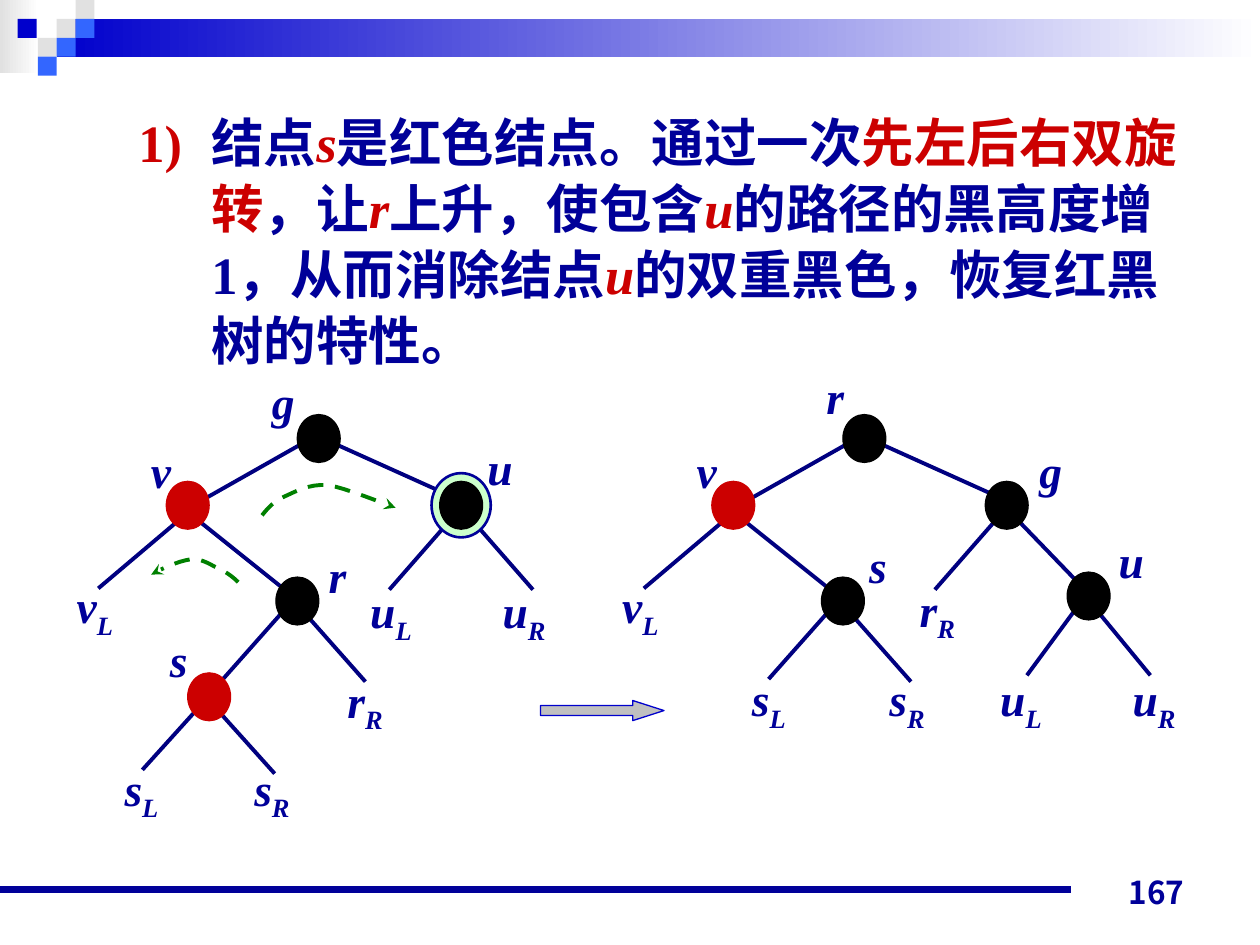
"""Build the slide on removing a double-black node with a left-right rotation."""
from lxml import etree
from pptx import Presentation
from pptx.dml.color import RGBColor
from pptx.enum.dml import MSO_LINE
from pptx.enum.shapes import MSO_CONNECTOR, MSO_SHAPE
from pptx.enum.text import MSO_ANCHOR, PP_ALIGN
from pptx.oxml.ns import qn
from pptx.util import Inches, Pt

RECTANGLE, OVAL, ARROW = MSO_SHAPE.RECTANGLE, MSO_SHAPE.OVAL, MSO_SHAPE.RIGHT_ARROW
STRAIGHT, DASH = MSO_CONNECTOR.STRAIGHT, MSO_LINE.DASH
BOTTOM, RIGHT = MSO_ANCHOR.BOTTOM, PP_ALIGN.RIGHT
NAVY, RED, BLACK, BLUE = "000099", "CC0000", "000000", "0000CC"
EDGE, GREEN, GREY, SKY = "000080", "008000", "E1E1E1", "3366FF"
SERIF, SANS = "Times New Roman", "Noto Sans CJK JP"

BANDS = [(0, 0, 0.31, 0.58, GREY), (0.45, 0.15, 9.55, 0.3, BLUE)]
TILE = 0.15
TILES = [(0.45, 0.15, GREY), (0.6, 0, GREY), (0.6, 0.15, SKY), (0.3, 0.3, GREY),
         (0.14, 0.15, BLUE), (0.45, 0.3, SKY), (0.3, 0.45, SKY)]

STATEMENT = [
    ("1)\t", RED, False), ("结点", NAVY, False), ("s", RED, True),
    ("是红色结点。通过一次", NAVY, False), ("先左后右双旋转", RED, False),
    ("，让", NAVY, False), ("r", RED, True), ("上升，使包含", NAVY, False),
    ("u", RED, True), ("的路径的黑高度增1，从而消除结点", NAVY, False),
    ("u", RED, True), ("的双重黑色，恢复红黑树的特性。", NAVY, False),
]

TREE_SHIFT = 4.33
SHARED_EDGES = [
    (2.63, 3.51, 3.54, 3.92), (3.58, 4.12, 3.09, 4.68), (2.44, 4.89, 2.9, 5.41),
    (1.56, 4.12, 2.26, 4.68), (2.47, 3.48, 1.64, 3.95), (1.43, 4.12, 0.78, 4.67),
    (2.24, 4.86, 1.77, 5.39),
]
SHARED_NODES = [(2.53, 3.48, BLACK), (1.49, 4.01, RED), (2.36, 4.77, BLACK), (3.66, 4.01, BLACK)]
BEFORE = {
    "shift": 0,
    "edges": [(3.74, 4.12, 4.23, 4.68), (1.74, 5.65, 2.18, 6.14), (1.6, 5.59, 1.13, 6.11)],
    "nodes": [(1.66, 5.53, RED)],
    "labels": [("g", "", 2.06, 2.92), ("v", "", 1.1, 3.47), ("u", "", 3.77, 3.44),
               ("r", "", 2.51, 4.3), ("s", "", 1.25, 4.97), ("v", "L", 0.51, 4.54),
               ("u", "L", 2.84, 4.58), ("u", "R", 3.89, 4.58), ("r", "R", 2.66, 5.29),
               ("s", "L", 0.89, 5.99), ("s", "R", 1.92, 5.99)],
}
AFTER = {
    "shift": TREE_SHIFT,
    "edges": [(8.07, 4.12, 8.62, 4.69), (8.71, 4.85, 9.13, 5.36), (8.57, 4.79, 8.15, 5.36)],
    "nodes": [(8.64, 4.73, BLACK)],
    "labels": [("r", "", 6.46, 2.88), ("v", "", 5.43, 3.47), ("g", "", 8.15, 3.47),
               ("s", "", 6.8, 4.22), ("u", "", 8.78, 4.18), ("v", "L", 4.84, 4.54),
               ("r", "R", 7.2, 4.57), ("s", "L", 5.87, 5.28), ("s", "R", 6.96, 5.28),
               ("u", "L", 7.84, 5.28), ("u", "R", 8.89, 5.28)],
}
ROTATIONS = [
    [(2.08, 4.09), (2.13, 4.03), (2.17, 3.98), (2.26, 3.94), (2.35, 3.9),
     (2.45, 3.84), (2.6, 3.85), (2.74, 3.87), (3.05, 4), (3.14, 4.03)],
    [(1.89, 4.62), (1.84, 4.57), (1.78, 4.53), (1.71, 4.5), (1.65, 4.47),
     (1.59, 4.43), (1.51, 4.44), (1.42, 4.45), (1.27, 4.52), (1.2, 4.56)],
]


def color(value):
    return RGBColor.from_string(value)


def set_line(line, value, width):
    line.color.rgb = color(value)
    line.width = Pt(width)


def add_block(slide, kind, box, fill, line=None, width=0.75):
    shape = slide.shapes.add_shape(kind, *map(Inches, box))
    shape.shadow.inherit = False
    shape.fill.solid()
    shape.fill.fore_color.rgb = color(fill)
    if line:
        set_line(shape.line, line, width)
    else:
        shape.line.fill.background()
    return shape


def add_band(slide, box, start):
    shape = add_block(slide, RECTANGLE, box, start)
    shape.fill.gradient()
    shape.fill.gradient_angle = 0
    for stop, value in zip(shape.fill.gradient_stops, (start, "FFFFFF")):
        stop.color.rgb = color(value)


def add_edge(slide, ends, value=EDGE, width=2.25):
    connector = slide.shapes.add_connector(STRAIGHT, *map(Inches, ends))
    set_line(connector.line, value, width)
    etree.SubElement(connector._element.spPr, qn("a:effectLst"))


def add_oval(slide, center_x, center_y, size, *style):
    width, height = size
    box = (center_x - width / 2, center_y - height / 2, width, height)
    add_block(slide, OVAL, box, *style)


def add_textbox(slide, box, wrap=True):
    frame = slide.shapes.add_textbox(*map(Inches, box)).text_frame
    frame.word_wrap = wrap
    return frame


def add_run(paragraph, text, size, value=NAVY, italic=False, name=SERIF):
    run = paragraph.add_run()
    run.text = text
    run.font.size = Pt(size)
    run.font.bold = True
    run.font.italic = italic
    run.font.name = name
    run.font.color.rgb = color(value)
    properties = run.font._element
    etree.SubElement(properties, qn("a:ea"), typeface=SANS)
    return properties


def add_label(slide, letter, subscript, left, top):
    paragraph = add_textbox(slide, (left, top, 0.8, 0.6)).paragraphs[0]
    add_run(paragraph, letter, 26, italic=True)
    if subscript:
        add_run(paragraph, subscript, 26, italic=True).set("baseline", "-25000")


def add_tree(slide, tree):
    shift = tree["shift"]
    shared = [(x1 + shift, y1, x2 + shift, y2) for x1, y1, x2, y2 in SHARED_EDGES]
    for ends in shared + tree["edges"]:
        add_edge(slide, ends)
    if tree is BEFORE:
        add_oval(slide, 3.66, 4.01, (0.47, 0.51), "CCFFCC", NAVY, 1.5)
    shared = [(x + shift, y, fill) for x, y, fill in SHARED_NODES]
    for x, y, fill in shared + tree["nodes"]:
        add_oval(slide, x, y, (0.34, 0.38), fill, fill)
    for label in tree["labels"]:
        add_label(slide, *label)


def curve_points(controls, steps=8):
    points = []
    for first in range(0, len(controls) - 1, 3):
        segment = controls[first:first + 4]
        for step in range(1, steps + 1):
            t = step / steps
            weights = ((1 - t) ** 3, 3 * t * (1 - t) ** 2, 3 * t * t * (1 - t), t ** 3)
            points.append(tuple(Inches(sum(w * p[axis] for w, p in zip(weights, segment)))
                                for axis in (0, 1)))
    return points


def add_rotation(slide, controls):
    builder = slide.shapes.build_freeform(*map(Inches, controls[0]))
    builder.add_line_segments(curve_points(controls), close=False)
    shape = builder.convert_to_shape()
    shape.shadow.inherit = False
    shape.fill.background()
    set_line(shape.line, GREEN, 2.25)
    shape.line.dash_style = DASH
    etree.SubElement(shape.line._get_or_add_ln(), qn("a:tailEnd"), type="stealth")


def add_statement(slide):
    paragraph = add_textbox(slide, (0.5, 0.8, 9, 2.4)).paragraphs[0]
    paragraph.line_spacing = Pt(37.7)
    properties = paragraph._p.get_or_add_pPr()
    properties.set("marL", str(Inches(1.08)))
    properties.set("indent", str(Inches(-0.58)))
    for text, value, italic in STATEMENT:
        add_run(paragraph, text, 30, value, italic)


def main():
    presentation = Presentation()
    presentation.slide_width, presentation.slide_height = Inches(10), Inches(7.5)
    slide = presentation.slides.add_slide(presentation.slide_layouts[6])
    for *box, start in BANDS:
        add_band(slide, box, start)
    for left, top, fill in TILES:
        add_block(slide, RECTANGLE, (left, top, TILE, TILE), fill)
    add_edge(slide, (0, 7.06, 8.5, 7.06), NAVY, 4.5)
    frame = add_textbox(slide, (7.17, 6.78, 2.33, 0.5))
    frame.vertical_anchor = BOTTOM
    frame.paragraphs[0].alignment = RIGHT
    add_run(frame.paragraphs[0], "167", 18, name=SANS)
    add_statement(slide)
    add_tree(slide, BEFORE)
    arrow = add_block(slide, ARROW, (4.29, 5.56, 0.98, 0.16), "C0C0C0", BLUE)
    arrow.adjustments[1] = 1.555
    for controls in ROTATIONS:
        add_rotation(slide, controls)
    add_tree(slide, AFTER)
    presentation.save("out.pptx")


if __name__ == "__main__":
    main()
